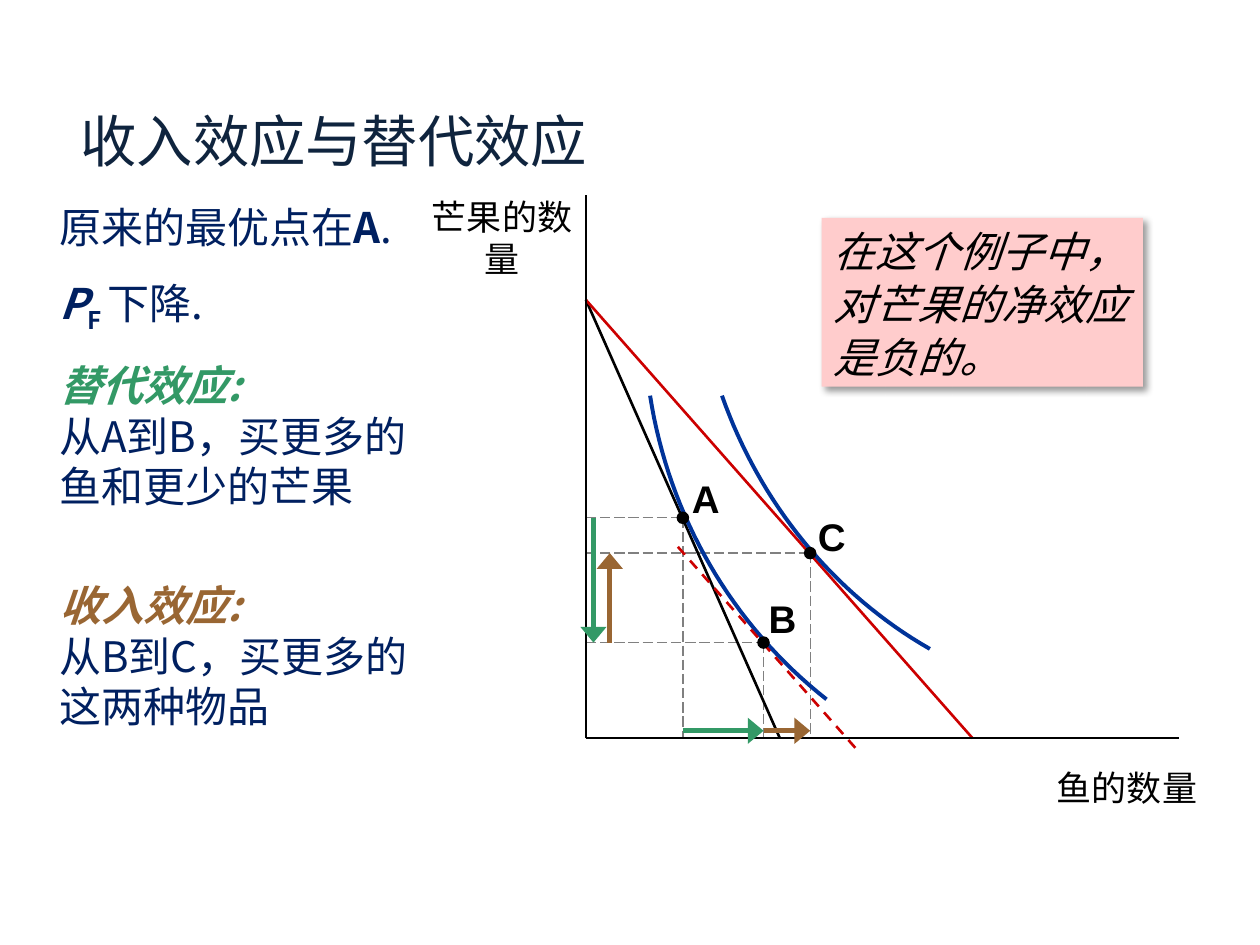
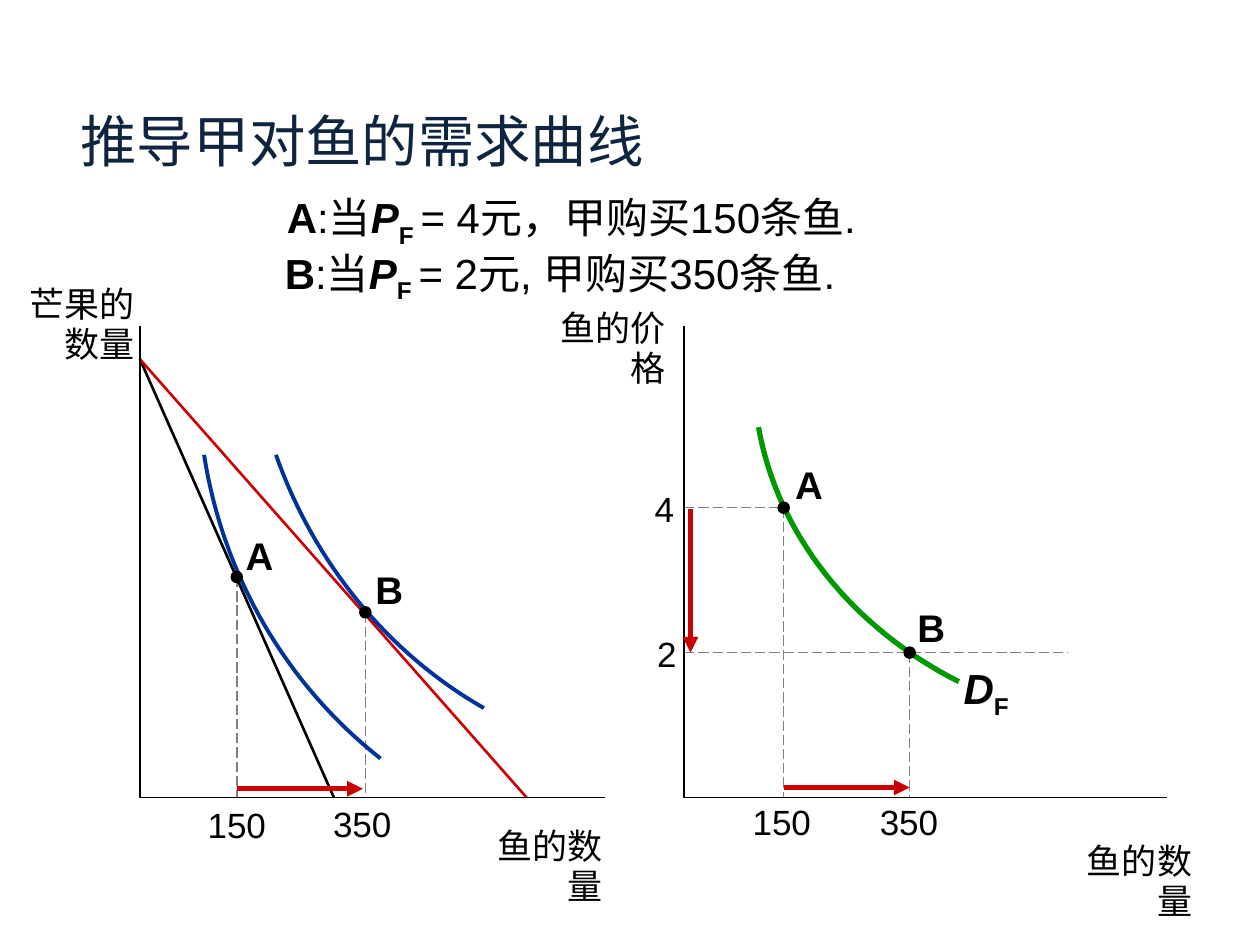
from dataclasses import dataclass

from lxml import etree
from pptx import Presentation
from pptx.dml.color import RGBColor
from pptx.enum.dml import MSO_LINE
from pptx.enum.shapes import MSO_CONNECTOR, MSO_SHAPE
from pptx.enum.text import MSO_ANCHOR, MSO_AUTO_SIZE, PP_ALIGN
from pptx.oxml.ns import qn
from pptx.util import Inches, Pt


@dataclass(frozen=True)
class Theme:
    title_color: str = "0F243E"
    body_color: str = "002060"
    black: str = "000000"
    red: str = "CC0000"
    indifference: str = "003399"
    demand: str = "009900"
    substitution: str = "339966"
    income: str = "996633"
    guide: str = "808080"
    callout: str = "FFCCCC"
    title_font: str = "Karla"
    label_font: str = "Arial"
    chinese_font: str = "Noto Sans CJK SC"
    title_size: float = 32.2
    body_size: float = 24
    point_size: float = 22
    axis_size: float = 20


BOLD = dict(bold=True)
BOLD_ITALIC = dict(bold=True, italic=True)
SUBSCRIPT = dict(bold=True, baseline=-25)


def write_text(frame, paragraphs, font, size, color, align=PP_ALIGN.LEFT,
               spacing=1.0, before=(), **emphasis):
    """Fill a frame; a paragraph is a list of strings or (string, format) pairs."""
    frame.word_wrap = True
    frame.auto_size = MSO_AUTO_SIZE.NONE
    for index, runs in enumerate(paragraphs):
        paragraph = frame.paragraphs[0] if index == 0 else frame.add_paragraph()
        paragraph.alignment = align
        paragraph.line_spacing = spacing
        paragraph.space_before = Pt(before[index] if before else 0)
        for item in runs:
            text, own = (item, {}) if isinstance(item, str) else item
            style = {"color": color, **emphasis, **own}
            run = paragraph.add_run()
            run.text = text.rstrip("\n")
            run.font.name, run.font.size = font, Pt(size)
            run.font.bold = style.get("bold", False)
            run.font.italic = style.get("italic", False)
            run.font.color.rgb = RGBColor.from_string(style["color"])
            properties = run.font._element
            if "baseline" in style:
                properties.set("baseline", str(style["baseline"] * 1000))
            etree.SubElement(properties, qn("a:ea"), typeface=Theme.chinese_font)
            if text.endswith("\n"):
                paragraph.add_line_break()


def place(shape, left, top, width, height):
    shape.left, shape.top = Inches(left), Inches(top)
    shape.width, shape.height = Inches(width), Inches(height)


class Deck:
    def __init__(self, theme):
        self.theme = theme
        self.presentation = Presentation()
        self.presentation.slide_width = Inches(10)
        self.presentation.slide_height = Inches(7.5)
        self.slide = None

    @property
    def shapes(self):
        return self.slide.shapes

    def start(self, title, layout):
        layouts = self.presentation.slide_layouts
        self.slide = self.presentation.slides.add_slide(layouts.get_by_name(layout))
        shape = self.shapes.title
        place(shape, 0.54, 0.37, 8.98, 1.04)
        frame = shape.text_frame
        frame.vertical_anchor = MSO_ANCHOR.BOTTOM
        frame.margin_bottom = Inches(0.03)
        write_text(frame, [[title]], self.theme.title_font,
                   self.theme.title_size, self.theme.title_color)

    def body(self, box, paragraphs, before):
        shape = self.slide.placeholders[1]
        place(shape, *box)
        write_text(shape.text_frame, paragraphs, self.theme.chinese_font,
                   self.theme.body_size, self.theme.body_color, before=before)
        for paragraph in shape.text_frame.paragraphs:
            properties = paragraph._p.get_or_add_pPr()
            properties.set("marL", "0")
            properties.set("indent", "0")
            etree.SubElement(properties, qn("a:buNone"))

    def text(self, box, runs, size, padded=True, **style):
        shape = self.shapes.add_textbox(*map(Inches, box))
        frame = shape.text_frame
        if not padded:
            frame.margin_left = frame.margin_right = 0
            frame.margin_top = frame.margin_bottom = 0
        write_text(frame, [runs], self.theme.label_font, size,
                   self.theme.black, **style)

    def axis_text(self, box, text, align=PP_ALIGN.CENTER, **style):
        self.text(box, [text], self.theme.axis_size, align=align, **style)

    def tick(self, left, top, width, text, align=PP_ALIGN.CENTER):
        self.axis_text((left, top, width, 0.33), text, align, padded=False)

    def line(self, start, end, color, width, dash=None, head=None):
        """Draw a straight line; head is the arrowhead's width, med or lg."""
        connector = self.shapes.add_connector(
            MSO_CONNECTOR.STRAIGHT, *map(Inches, (*start, *end)))
        connector.line.color.rgb = RGBColor.from_string(color)
        connector.line.width = Pt(width)
        if dash:
            connector.line.dash_style = dash
        if head:
            etree.SubElement(connector.line._get_or_add_ln(), qn("a:tailEnd"),
                             type="triangle", w=head, len="med")
        etree.SubElement(connector._element.spPr, qn("a:effectLst"))

    def curve(self, controls, color, width, steps=32):
        """Trace the cubic Bezier curve given by four control points."""
        points = []
        for step in range(steps + 1):
            t = step / steps
            weights = ((1 - t) ** 3, 3 * t * (1 - t) ** 2, 3 * t * t * (1 - t), t ** 3)
            points.append(tuple(
                Inches(sum(w * point[axis] for w, point in zip(weights, controls)))
                for axis in (0, 1)))
        builder = self.shapes.build_freeform(*points[0])
        builder.add_line_segments(points[1:], close=False)
        shape = builder.convert_to_shape()
        shape.shadow.inherit = False
        shape.fill.background()
        shape.line.color.rgb = RGBColor.from_string(color)
        shape.line.width = Pt(width)

    def axes(self, origin, top, right):
        x, y = origin
        for end in ((x, top), (right, y)):
            self.line(origin, end, self.theme.black, 1)

    def guides(self, point, left=None, right=None, bottom=None):
        """Dashed lines from a point across to left (or left to right) and down."""
        x, y = point
        style = (self.theme.guide, 0.75, MSO_LINE.LONG_DASH)
        if left is not None:
            self.line((left, y), (right or x, y), *style)
        if bottom is not None:
            self.line(point, (x, bottom), *style)

    def point(self, center, name, label_at):
        x, y = center
        dot = self.shapes.add_shape(MSO_SHAPE.OVAL, Inches(x - 0.05),
                                    Inches(y - 0.05), Inches(0.1), Inches(0.1))
        dot.shadow.inherit = False
        dot.fill.solid()
        dot.fill.fore_color.rgb = RGBColor.from_string(self.theme.black)
        dot.line.fill.background()
        self.text((*label_at, 0.32, 0.37), [name], self.theme.point_size,
                  padded=False, bold=True)

    def callout(self, box, text):
        shape = self.shapes.add_shape(MSO_SHAPE.RECTANGLE, *map(Inches, box))
        shape.fill.solid()
        shape.fill.fore_color.rgb = RGBColor.from_string(self.theme.callout)
        shape.line.fill.background()
        shape.shadow.inherit = False
        effects = shape._element.spPr.find(qn("a:effectLst"))
        shadow = etree.SubElement(effects, qn("a:outerShdw"), blurRad=str(Pt(4)),
                                  dist=str(Pt(3)), dir="2700000", algn="tl")
        color = etree.SubElement(shadow, qn("a:srgbClr"), val=self.theme.black)
        etree.SubElement(color, qn("a:alpha"), val="40000")
        write_text(shape.text_frame, [[text]], self.theme.label_font,
                   self.theme.body_size, self.theme.black, spacing=1.05, italic=True)

    def consumer_choice(self, origin):
        """Budget lines before and after the price fall, with indifference curves."""
        def at(right, up):
            return origin[0] + right, origin[1] - up

        for reach, color in ((1.54, self.theme.black), (3.07, self.theme.red)):
            self.line(at(0, 3.48), at(reach, 0), color, 1.5)
        for controls in (
            ((1.91, 0.31), (1.16, 0.9), (0.66, 1.76), (0.51, 2.72)),
            ((2.73, 0.71), (1.96, 1.15), (1.38, 1.87), (1.08, 2.72)),
        ):
            self.curve([at(*control) for control in controls],
                       self.theme.indifference, 2.25)


def income_and_substitution(deck):
    theme = deck.theme
    deck.start("收入效应与替代效应", "Title and Content")
    origin = left, bottom = 4.65, 5.86
    a, b, c = (5.42, 4.11), (6.06, 5.1), (6.43, 4.39)

    deck.body((0.37, 1.55, 3.26, 4.49), [
        ["原来的最优点在", ("A", BOLD), "."],
        [("P", BOLD_ITALIC), ("F ", SUBSCRIPT), "下降."],
        [("替代效应:\n", dict(BOLD_ITALIC, color=theme.substitution)),
         "从A到B，买更多的鱼和更少的芒果"],
        [("收入效应:\n", dict(BOLD_ITALIC, color=theme.income)),
         "从B到C，买更多的这两种物品"],
    ], before=(14.4, 14.4, 14.4, 39.4))

    for point in (a, b, c):
        deck.guides(point, left=left, bottom=bottom)
    deck.consumer_choice(origin)
    deck.axes(origin, top=1.55, right=9.36)
    deck.line((5.38, 4.34), (6.81, 5.96), theme.red, 1.5, MSO_LINE.DASH)
    deck.point(a, "A", (5.49, 3.77))
    deck.point(b, "B", (6.1, 4.72))
    deck.point(c, "C", (6.49, 4.07))

    for start, end, offset, color in (
        (a, b, 0.06, theme.substitution), (b, c, 0.19, theme.income),
    ):
        deck.line((left + offset, start[1]), (left + offset, end[1]), color, 3, head="lg")
        deck.line((start[0], 5.8), (end[0], 5.8), color, 3, head="lg")

    deck.callout((6.52, 1.73, 2.55, 1.34), "在这个例子中，对芒果的净效应是负的。")
    deck.axis_text((3.4, 1.55, 1.17, 0.67), "芒果的数量", padded=False)
    deck.axis_text((8.36, 6.08, 1.17, 0.34), "鱼的数量", padded=False)


def demand_curve(deck):
    theme = deck.theme
    deck.start("推导甲对鱼的需求曲线", "Title Only")

    choice_origin = 1.11, 6.33
    choice_a, choice_b = (1.88, 4.58), (2.9, 4.86)
    for point in (choice_a, choice_b):
        deck.guides(point, bottom=6.33)
    deck.consumer_choice(choice_origin)
    deck.axes(choice_origin, top=2.59, right=4.8)
    deck.line((1.88, 6.26), (2.88, 6.26), theme.red, 3, head="med")
    deck.point(choice_a, "A", (1.95, 4.22))
    deck.point(choice_b, "B", (2.98, 4.49))
    deck.tick(1.53, 6.38, 0.7, "150")
    deck.tick(2.57, 6.37, 0.61, "350")

    demand_origin = left, bottom = 5.43, 6.33
    demand_a, demand_b = (6.22, 4.03), (7.22, 5.18)
    deck.guides(demand_a, left=left, bottom=bottom)
    deck.guides(demand_b, left=left, right=8.48, bottom=bottom)
    deck.curve([(7.61, 5.41), (6.76, 4.98), (6.17, 4.24), (6.02, 3.39)],
               theme.demand, 3)
    deck.axes(demand_origin, top=2.59, right=9.26)
    deck.line((6.22, 6.25), (7.22, 6.25), theme.red, 3, head="med")
    deck.line((5.48, 4.04), (5.48, 5.18), theme.red, 3, head="med")
    deck.point(demand_a, "A", (6.31, 3.66))
    deck.point(demand_b, "B", (7.28, 4.79))
    deck.text((7.55, 5.21, 1.03, 0.5), [("D", BOLD_ITALIC), ("F", SUBSCRIPT)],
              theme.body_size)
    deck.tick(5.92, 6.35, 0.57, "150")
    deck.tick(6.93, 6.35, 0.57, "350")
    deck.tick(4.92, 3.87, 0.43, "4", PP_ALIGN.RIGHT)
    deck.tick(4.94, 5.02, 0.43, "2", PP_ALIGN.RIGHT)

    for box, name, purchase in (
        ((1.31, 1.45, 6.45, 0.53), "A", "= 4元，甲购买150条鱼."),
        ((1.74, 1.89, 5.41, 0.53), "B", "= 2元, 甲购买350条鱼."),
    ):
        deck.text(box, [(name, BOLD), ":当", ("P", BOLD_ITALIC),
                        ("F ", SUBSCRIPT), purchase],
                  theme.body_size, align=PP_ALIGN.CENTER, spacing=1.05)

    for x, y, name in (
        (3.84, 6.52, "鱼的数量"), (8.52, 6.64, "鱼的数量"),
        (0.13, 2.22, "芒果的数量"), (4.34, 2.41, "鱼的价格"),
    ):
        deck.axis_text((x, y, 1.04, 0.74), name, PP_ALIGN.RIGHT, spacing=0.95)


def main():
    deck = Deck(Theme())
    income_and_substitution(deck)
    demand_curve(deck)
    deck.presentation.save("out.pptx")


if __name__ == "__main__":
    main()
